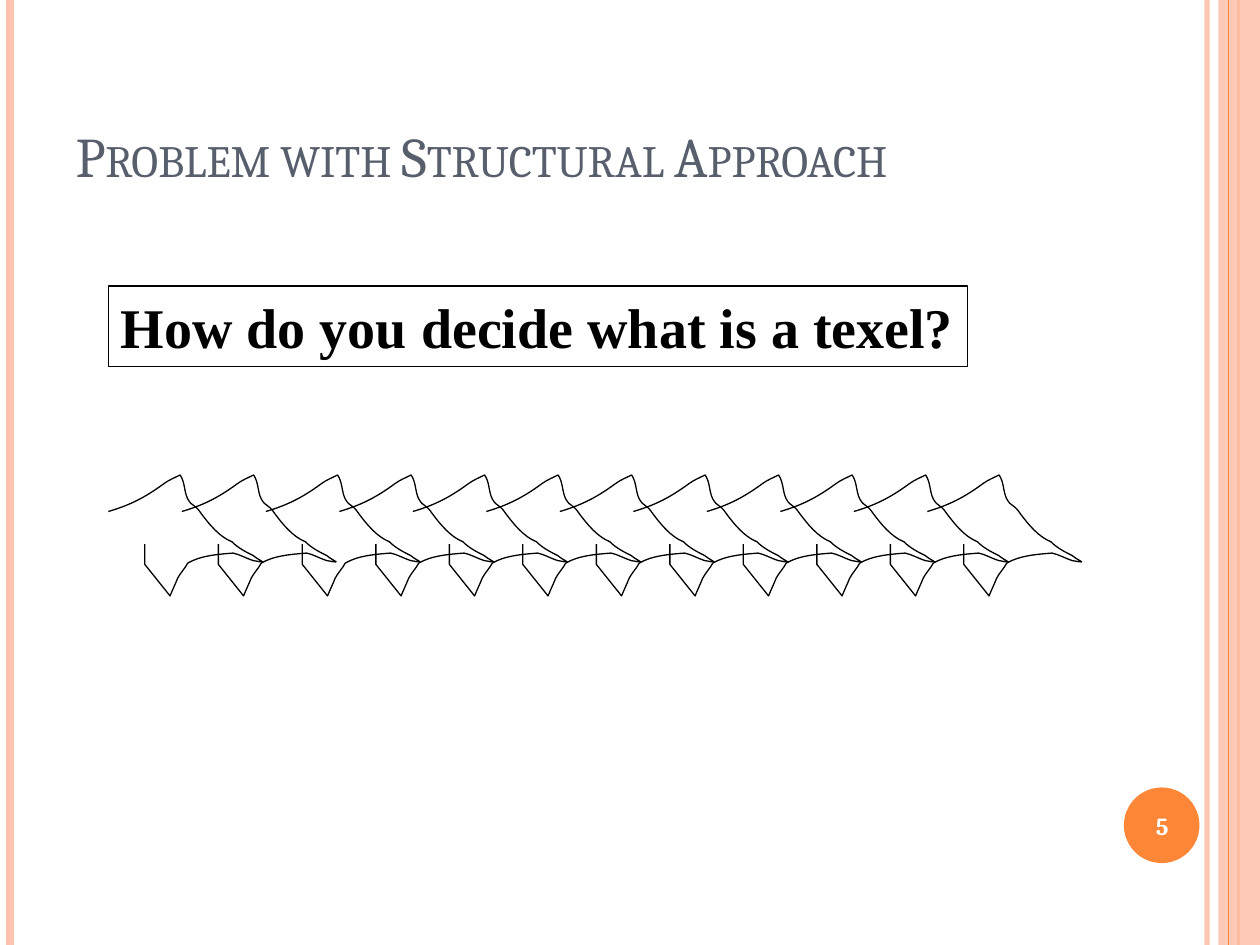
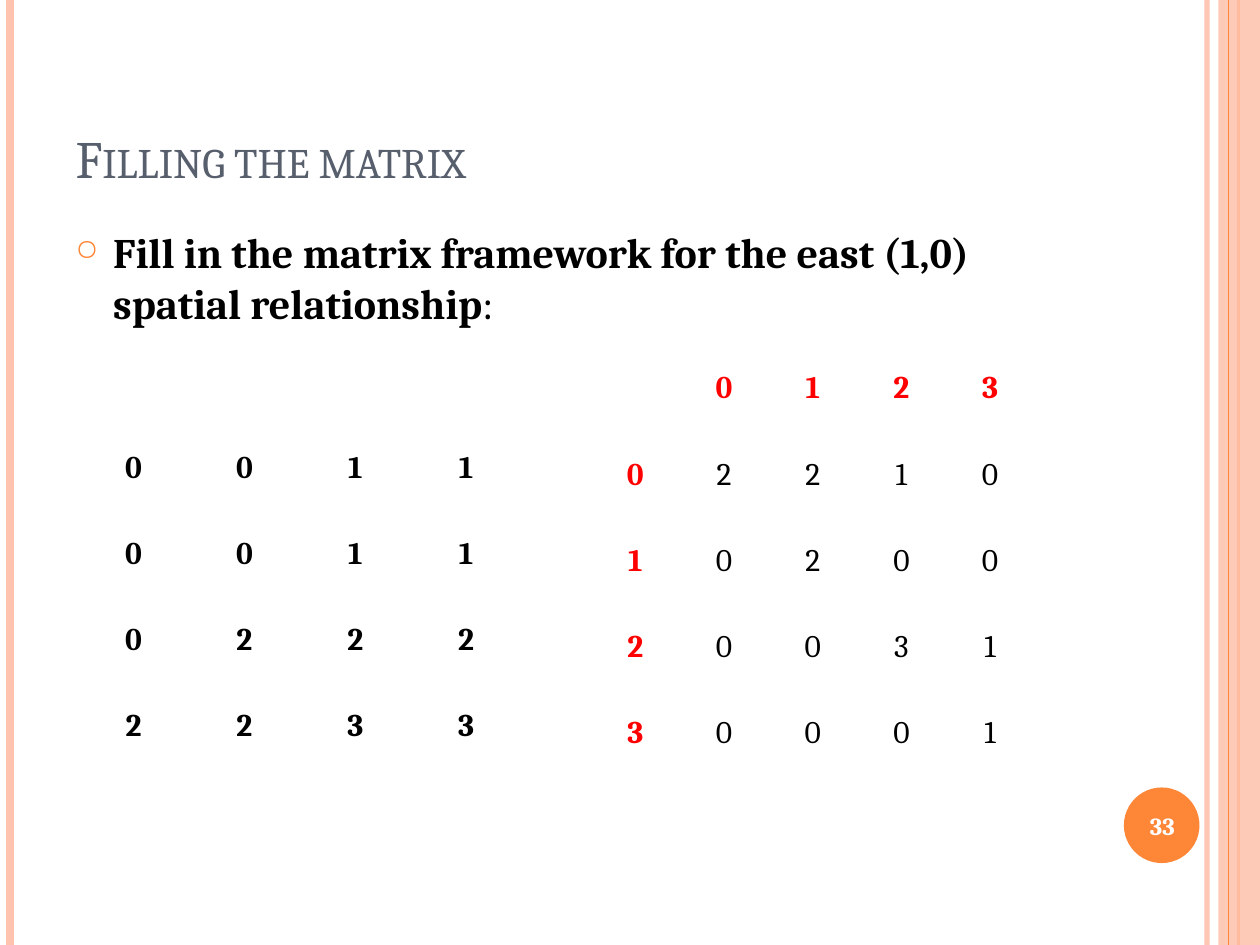
from lxml import etree
from pptx import Presentation
from pptx.dml.color import RGBColor
from pptx.enum.shapes import MSO_CONNECTOR, MSO_SHAPE
from pptx.enum.text import MSO_ANCHOR, MSO_AUTO_SIZE, PP_ALIGN
from pptx.oxml.ns import qn
from pptx.util import Inches, Pt

STRAIGHT, RECTANGLE, OVAL = MSO_CONNECTOR.STRAIGHT, MSO_SHAPE.RECTANGLE, MSO_SHAPE.OVAL
TOP, MIDDLE, BOTTOM = MSO_ANCHOR.TOP, MSO_ANCHOR.MIDDLE, MSO_ANCHOR.BOTTOM
LEFT, CENTER = PP_ALIGN.LEFT, PP_ALIGN.CENTER

rgb = RGBColor.from_string
PEACH, ORANGE, SLATE = "FEC3AE", "FE8637", "575F6D"
BLACK, WHITE, RED = "000000", "FFFFFF", "FF0000"
SERIF, TIMES = "Cambria", "Times New Roman"

# The grid has 100 columns and 75 rows
COLUMNS, ROWS = 100, 75
deck = Presentation()
deck.slide_width, deck.slide_height = Inches(10), Inches(7.5)
COLUMN, ROW = deck.slide_width / COLUMNS, deck.slide_height / ROWS


def grid(left, top, width, height):
    """Turn grid columns and rows into lengths."""
    return round(left * COLUMN), round(top * ROW), round(width * COLUMN), round(height * ROW)


def format_text(para, size, colour, bold=None, name=SERIF, align=LEFT):
    para.alignment = align
    font = para.font
    font.size, font.name, font.bold = Pt(size), name, bold
    font.color.rgb = rgb(colour)


# Shared frame: column, line width (None for the wide panel), colour, opacity
bands = [
    (95.8, 3, PEACH, 93),
    (0.8, 4.5, PEACH, 100),
    (98.3, 1.5, ORANGE, 100),
    (96.7, None, PEACH, 87),
    (97.5, 0.75, ORANGE, 100),
]
headings = [("Problem with Structural Approach", 32, "5"), ("Filling the matrix", 30, "33")]
pages = []
for heading, size, number in headings:
    page = deck.slides.add_slide(deck.slide_layouts[5])
    pages.append(page)

    for column, weight, colour, opacity in bands:
        if weight is None:
            band = page.shapes.add_shape(RECTANGLE, *grid(column, 0, COLUMNS - column, ROWS))
            band.shadow.inherit = False
            band.fill.solid()
            band.fill.fore_color.rgb = rgb(colour)
            band.line.fill.background()
        else:
            x = round(column * COLUMN)
            band = page.shapes.add_connector(STRAIGHT, x, 0, x, deck.slide_height)
            band.line.width = Pt(weight)
            band.line.color.rgb = rgb(colour)
            etree.SubElement(band._element.spPr, qn("a:effectLst"))
        if opacity < 100:
            for tint in band._element.spPr.iter(qn("a:srgbClr")):
                etree.SubElement(tint, qn("a:alpha")).set("val", str(opacity * 1000))

    disc = page.shapes.add_shape(OVAL, *grid(89.2, 62.5, 6, 6))
    disc.shadow.inherit = False
    disc.fill.solid()
    disc.fill.fore_color.rgb = rgb(ORANGE)
    disc.line.fill.background()

    title = page.shapes.title
    title.left, title.top, title.width, title.height = grid(5, 3, 81.7, 12.5)
    title.text_frame.text = heading
    title.text_frame.auto_size = MSO_AUTO_SIZE.NONE
    title.text_frame.vertical_anchor = BOTTOM
    para = title.text_frame.paragraphs[0]
    format_text(para, size, SLATE)
    para.font._element.set("cap", "small")

    number_box = page.shapes.add_textbox(*grid(88.9, 62.7, 6.7, 5.7))
    number_box.text_frame.word_wrap = True
    number_box.text_frame.vertical_anchor = MIDDLE
    number_box.text_frame.text = number
    format_text(number_box.text_frame.paragraphs[0], 14, WHITE, bold=True, align=CENTER)

texel_page, matrix_page = pages

# Question above the row of texels
question = texel_page.shapes.add_textbox(*grid(8.6, 22.7, 68.2, 6.4))
question.line.color.rgb = rgb(BLACK)
question.line.width = Pt(0.75)
question.text_frame.word_wrap = False
question.text_frame.auto_size = MSO_AUTO_SIZE.SHAPE_TO_FIT_TEXT
question.text_frame.text = "How do you decide what is a texel?"
format_text(question.text_frame.paragraphs[0], 32, BLACK, bold=True, name=TIMES)

# One texel in grid units from its left top corner: Bezier curves, then a straight tail
texel_start = (0, 2.9)
texel_curves = [
    ((1.7, 2.4), (2.9, 1.8), (4.4, 0.7)),
    ((4.8, 0.4), (5.3, 0.2), (5.7, 0)),
    ((6.1, 0.6), (6, 1.3), (6.3, 1.9)),
    ((6.7, 2.6), (6.8, 2.2), (7.4, 3.1)),
    ((8, 3.9), (8.8, 4.9), (9.8, 5.3)),
    ((10.3, 5.8), (10.9, 6.1), (11.5, 6.4)),
    ((11.7, 6.6), (12.5, 7), (12.2, 6.9)),
    ((11.9, 6.9), (11.7, 6.8), (11.5, 6.8)),
    ((10.9, 6.6), (10.4, 6.3), (9.9, 6.2)),
    ((8.7, 6.3), (7.3, 6.4), (6.3, 7)),
    ((6.1, 7.4), (5.7, 7.8), (5.5, 8.2)),
    ((5.3, 8.7), (5.1, 9.1), (4.9, 9.6)),
]
texel_tail = [(2.9, 7.1), (2.9, 5.5)]
knots = [texel_start, *(curve[-1] for curve in texel_curves), *texel_tail]

TEXELS, PITCH = 12, 70 / 12
for index in range(TEXELS):
    # The row is slightly wider spaced after the second texel
    left = 8.6 + index * PITCH + (PITCH / 7 if index > 1 else 0)
    points = [((left + x) * COLUMN, (37.7 + y) * ROW) for x, y in knots]
    builder = texel_page.shapes.build_freeform(*points[0])
    builder.add_line_segments(points[1:], close=False)
    texel = builder.convert_to_shape()
    texel.shadow.inherit = False
    texel.fill.background()
    texel.line.color.rgb = rgb(BLACK)
    texel.line.width = Pt(0.75)
    # Bend the segments before the tail by adding their two handles
    segments = list(texel._element.iter(qn("a:lnTo")))
    for segment, curve in zip(segments, texel_curves):
        segment.tag = qn("a:cubicBezTo")
        for position, (x, y) in enumerate(curve[:2]):
            handle = etree.Element(qn("a:pt"), x=str(round(x * COLUMN)), y=str(round(y * ROW)))
            segment.insert(position, handle)

# Task with its bullet
task = matrix_page.shapes.add_textbox(*grid(5, 17.5, 81.7, 53.3))
task.text_frame.word_wrap = True
para = task.text_frame.paragraphs[0]
para.space_before = Pt(6)
properties = para._p.get_or_add_pPr()
properties.set("marL", str(Inches(0.3)))
properties.set("indent", str(-Inches(0.3)))
bullet_colour = etree.SubElement(properties, qn("a:buClr"))
etree.SubElement(bullet_colour, qn("a:srgbClr")).set("val", ORANGE)
etree.SubElement(properties, qn("a:buSzPct")).set("val", "70000")
etree.SubElement(properties, qn("a:buChar")).set("char", "○")
format_text(para, 24, BLACK)
for text, bold in [
    ("Fill in the matrix framework for the east (1,0) spatial relationship", True),
    (":", False),
]:
    span = para.add_run()
    span.text, span.font.bold = text, bold

# Grey levels of the image and their co-occurrence matrix, one string per row
grey_levels = ["0011", "0011", "0222", "2233"]
co_occurrence = [" 0123", "02210", "10200", "20031", "30001"]
for rows, place, has_labels in [
    (grey_levels, (6.2, 35.2, 35.2, 27.3), False),
    (co_occurrence, (46.9, 28.9, 35.2, 34.2), True),
]:
    table = matrix_page.shapes.add_table(len(rows), len(rows[0]), *grid(*place)).table
    table.first_row = table.horz_banding = False
    for row, digits in enumerate(rows):
        for column, digit in enumerate(digits):
            cell = table.cell(row, column)
            cell.fill.background()
            cell.vertical_anchor = TOP
            cell.text = digit.strip()
            is_label = has_labels and 0 in (row, column)
            format_text(
                cell.text_frame.paragraphs[0],
                18,
                RED if is_label else BLACK,
                bold=is_label or not has_labels,
                align=CENTER,
            )

deck.save("out.pptx")
